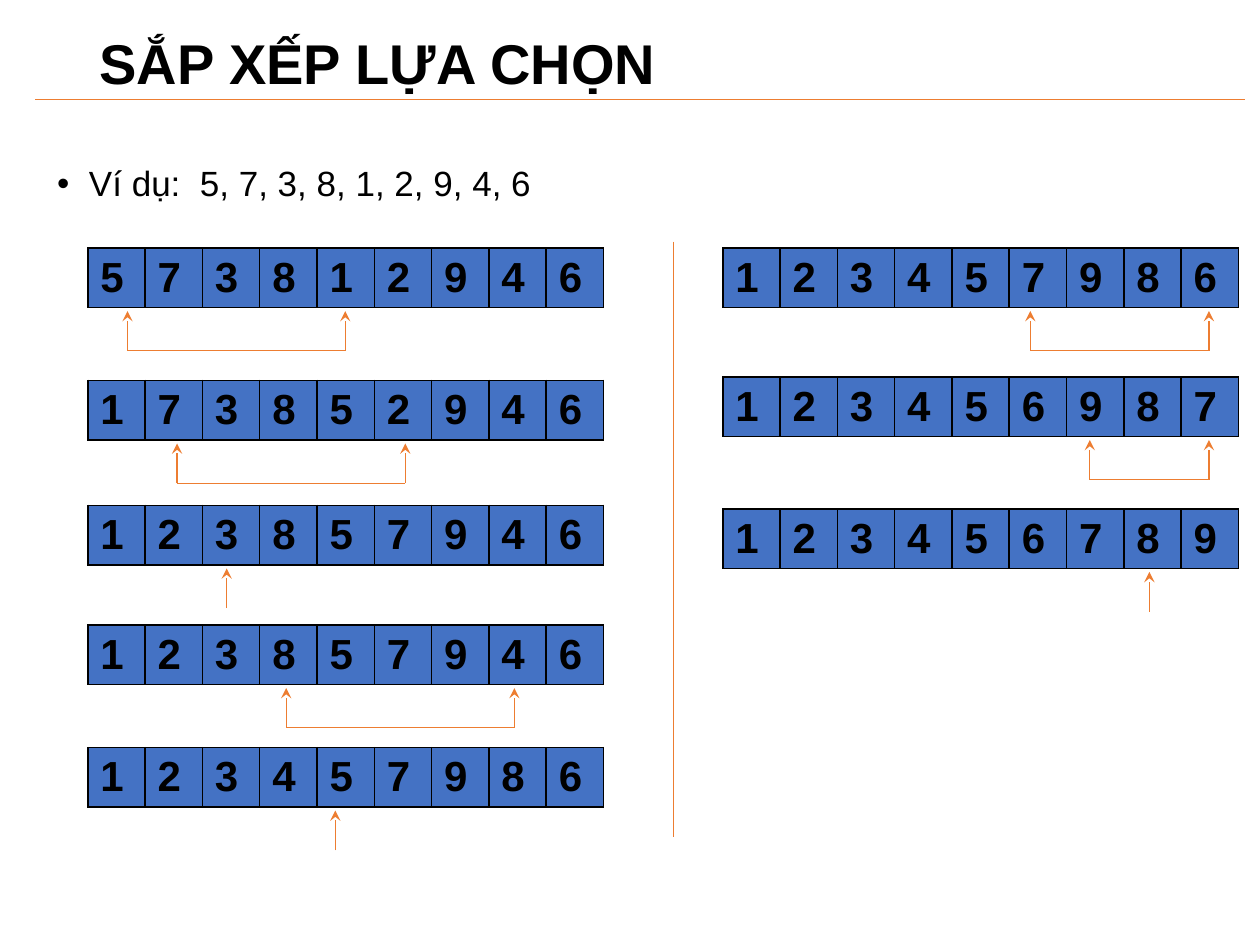
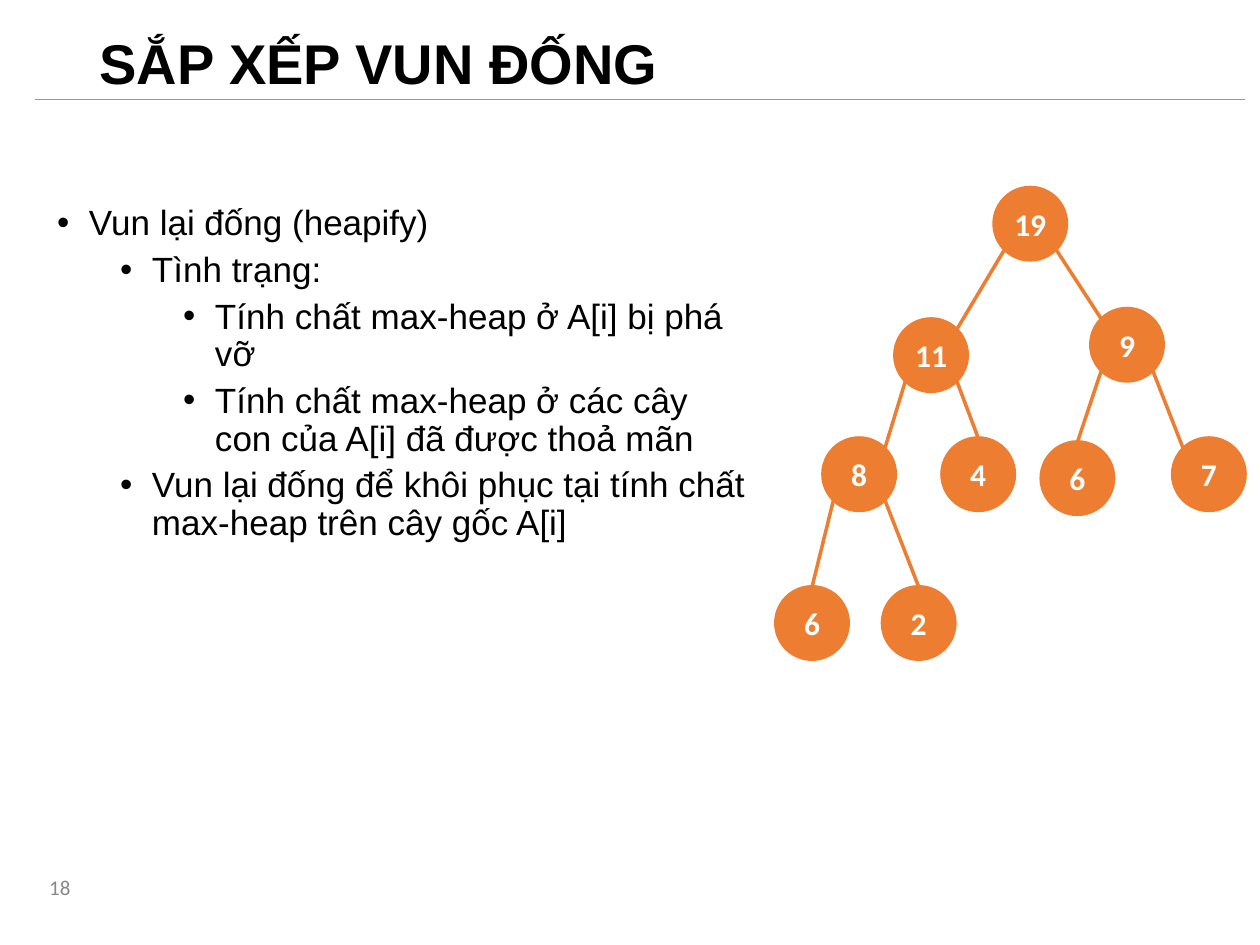
from math import sqrt

from lxml.etree import SubElement
from pptx import Presentation
from pptx.dml.color import RGBColor
from pptx.enum.shapes import MSO_CONNECTOR, MSO_SHAPE
from pptx.enum.text import MSO_ANCHOR, MSO_AUTO_SIZE, PP_ALIGN
from pptx.oxml.ns import qn
from pptx.util import Cm, Pt

COLORS = {
    name: RGBColor.from_string(value)
    for name, value in {
        "text": "000000",
        "cell": "4472C4",
        "accent": "ED7D31",
        "node_text": "FFFFFF",
        "page_number": "888888",
    }.items()
}

deck = Presentation()
deck.slide_width, deck.slide_height = Cm(25.4), Cm(19.05)


def add_line(page, start, end, width=0.75, arrow=False):
    line = page.shapes.add_connector(
        MSO_CONNECTOR.STRAIGHT, *[Cm(value) for value in (*start, *end)]
    )
    line.line.color.rgb = COLORS["accent"]
    line.line.width = Pt(width)
    properties = line._element.spPr
    if arrow:
        SubElement(properties.find(qn("a:ln")), qn("a:tailEnd"), type="stealth")
    SubElement(properties, qn("a:effectLst"))


def add_page(title_text, body_top, body_width, items):
    page = deck.slides.add_slide(deck.slide_layouts[1])
    title, body = page.placeholders
    title.left, title.top, title.width, title.height = Cm(1.75), Cm(0.32), Cm(21.9), Cm(2.05)
    body.left, body.top, body.width, body.height = Cm(0.9), Cm(body_top), Cm(body_width), Cm(13.89)

    title.text_frame.text = title_text
    title.text_frame.vertical_anchor = MSO_ANCHOR.MIDDLE
    body.text_frame.text = "\n".join(text for level, text in items)
    for box, size in ((title, 32), (body, 20)):
        box.text_frame.auto_size = MSO_AUTO_SIZE.NONE
        for para in box.text_frame.paragraphs:
            para.alignment = PP_ALIGN.LEFT
            para.line_spacing = 0.9
            para.space_before = Pt(0)
            para.font.name = "Arial"
            para.font.size = Pt(size)
            para.font.bold = box is title
            para.font.color.rgb = COLORS["text"]

    for para, (level, text) in zip(body.text_frame.paragraphs, items):
        para.level = level
        para.space_before = Pt(5 if level else 0)
        properties = para._p.get_or_add_pPr()
        properties.set("marL", str(Cm(0.64 + 1.27 * level)))
        properties.set("indent", str(-Cm(0.64)))
        bullet_font = SubElement(properties, qn("a:buFont"), typeface="Arial")
        bullet_font.addnext(bullet_font.makeelement(qn("a:buChar"), char="•"))
        properties.append(properties.find(qn("a:defRPr")))

    add_line(page, (0.71, 2.01), (25.1, 2.01))
    return page


selection_page = add_page(
    "SẮP XẾP LỰA CHỌN", 3.23, 23.6, [(0, "Ví dụ:  5, 7, 3, 8, 1, 2, 9, 4, 6")]
)
add_line(selection_page, (13.57, 4.87), (13.57, 16.87))

LEFT_COLUMN, RIGHT_COLUMN = 1.77, 14.57
sort_steps = [
    (LEFT_COLUMN, 5, "573812946", [2.57, 6.96]),
    (LEFT_COLUMN, 7.67, "173852946", [3.57, 8.17]),
    (LEFT_COLUMN, 10.19, "123857946", [4.57]),
    (LEFT_COLUMN, 12.6, "123857946", [5.77, 10.37]),
    (LEFT_COLUMN, 15.07, "123457986", [6.76]),
    (RIGHT_COLUMN, 5, "123457986", [20.77, 24.37]),
    (RIGHT_COLUMN, 7.6, "123456987", [21.97, 24.37]),
    (RIGHT_COLUMN, 10.26, "123456789", [23.17]),
]
TABLE_WIDTH, TABLE_HEIGHT, ROW_HEIGHT = 10.4, 8.33, 1

for left, top, digits, arrows in sort_steps:
    frame = selection_page.shapes.add_table(
        1, len(digits), Cm(left), Cm(top), Cm(TABLE_WIDTH), Cm(ROW_HEIGHT)
    )
    frame.width, frame.height = Cm(TABLE_HEIGHT), Cm(TABLE_HEIGHT)
    table = frame.table
    table.first_row = table.horz_banding = False
    for cell, digit in zip(table.iter_cells(), digits):
        cell.text = digit
        para = cell.text_frame.paragraphs[0]
        para.font.name, para.font.size, para.font.bold = "Arial", Pt(24), True
        para.font.color.rgb = COLORS["text"]
        properties = cell._tc.get_or_add_tcPr()
        for side in ("lnL", "lnR", "lnT", "lnB"):
            border = SubElement(properties, qn(f"a:{side}"), w=str(Pt(1)))
            border_fill = SubElement(border, qn("a:solidFill"))
            SubElement(border_fill, qn("a:srgbClr"), val=str(COLORS["text"]))
        cell.fill.solid()
        cell.fill.fore_color.rgb = COLORS["cell"]

    base = top + 2.07
    for x in arrows:
        add_line(selection_page, (x, base), (x, top + 1.27), arrow=True)
    if len(arrows) == 2:
        add_line(selection_page, (arrows[0], base), (arrows[1], base))

heap_page = add_page(
    "SẮP XẾP VUN ĐỐNG",
    4.02,
    14.4,
    [
        (0, "Vun lại đống (heapify)"),
        (1, "Tình trạng:"),
        (2, "Tính chất max-heap ở A[i] bị phá vỡ"),
        (2, "Tính chất max-heap ở các cây con của A[i] đã được thoả mãn"),
        (1, "Vun lại đống để khôi phục tại tính chất max-heap trên cây gốc A[i]"),
    ],
)

number_box = heap_page.shapes.add_textbox(Cm(0.4), Cm(17.25), Cm(1.27), Cm(1.27))
number_box.text_frame.word_wrap = True
number_box.text_frame.vertical_anchor = MSO_ANCHOR.MIDDLE
number_box.text_frame.text = "18"
para = number_box.text_frame.paragraphs[0]
para.alignment = PP_ALIGN.RIGHT
para.font.name, para.font.size = "Calibri", Pt(12)
para.font.color.rgb = COLORS["page_number"]

RADIUS = 0.73
DIAGONAL = RADIUS / sqrt(2)
heap_nodes = [
    ("19", 20.77, 4.51),
    ("11", 18.77, 7.16),
    ("9", 22.72, 6.95),
    ("8", 17.32, 9.56),
    ("4", 19.72, 9.56),
    ("6", 21.72, 9.64),
    ("7", 24.37, 9.56),
    ("6", 16.37, 12.56),
    ("2", 18.52, 12.56),
]
for value, x, y in heap_nodes:
    node = heap_page.shapes.add_shape(
        MSO_SHAPE.FLOWCHART_CONNECTOR,
        Cm(x - RADIUS), Cm(y - RADIUS), Cm(2 * RADIUS), Cm(2 * RADIUS),
    )
    node.shadow.inherit = False
    node.fill.solid()
    node.fill.fore_color.rgb = COLORS["accent"]
    node.line.color.rgb = COLORS["accent"]
    node.line.width = Pt(2)
    frame = node.text_frame
    frame.margin_left = frame.margin_right = frame.margin_top = frame.margin_bottom = 0
    frame.vertical_anchor = MSO_ANCHOR.MIDDLE
    frame.text = value
    para = frame.paragraphs[0]
    para.alignment = PP_ALIGN.CENTER
    para.font.name, para.font.size, para.font.bold = "Calibri", Pt(18), True
    para.font.color.rgb = COLORS["node_text"]

corner_children = (1, 2, 3, 6)
for child in range(1, len(heap_nodes)):
    _, parent_x, parent_y = heap_nodes[(child - 1) // 2]
    _, child_x, child_y = heap_nodes[child]
    side = -1 if child % 2 else 1
    start = (parent_x + side * DIAGONAL, parent_y + DIAGONAL)
    if child in corner_children:
        end = (child_x - side * DIAGONAL, child_y - DIAGONAL)
    else:
        end = (child_x, child_y - RADIUS)
    add_line(heap_page, start, end, width=2)

deck.save("out.pptx")
